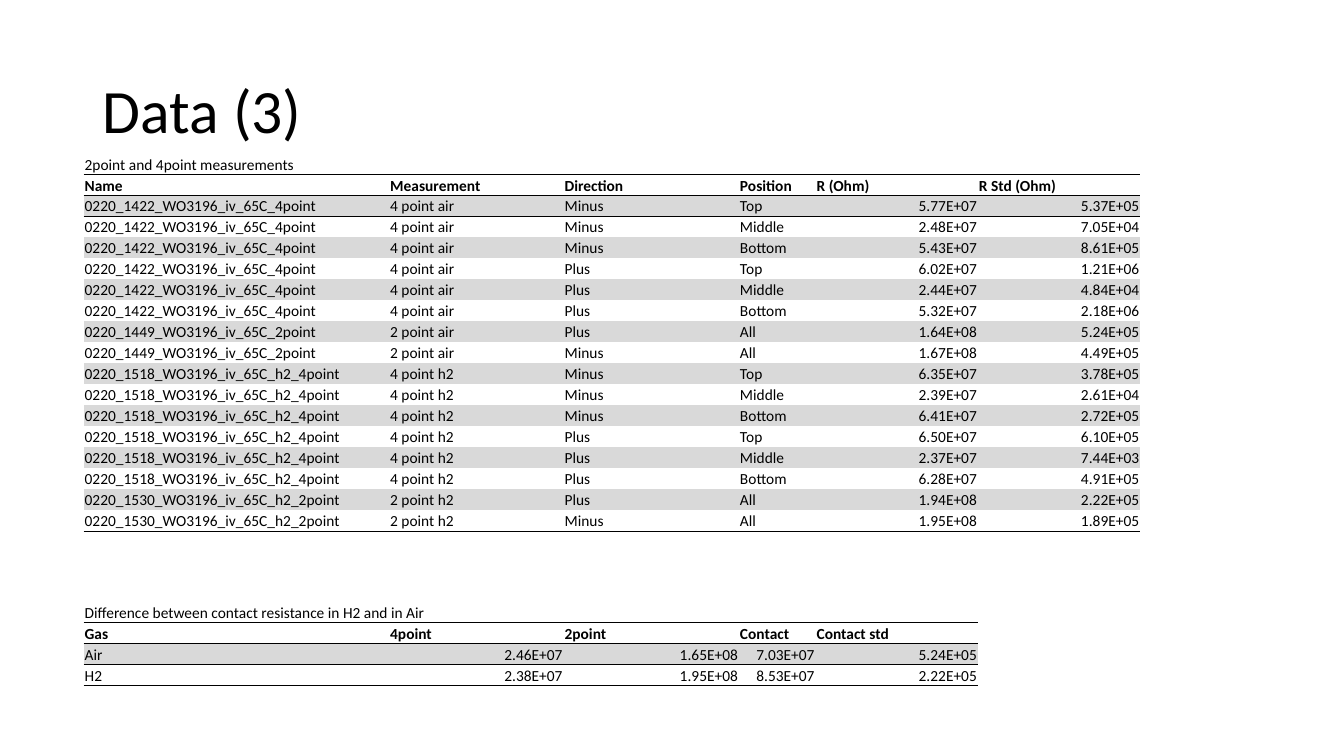
from dataclasses import dataclass

from lxml import etree
from pptx import Presentation
from pptx import util as u
from pptx.dml.color import RGBColor
from pptx.enum import text
from pptx.oxml import ns


@dataclass(frozen=True)
class Theme:
    font: str = "Calibri"
    ink: str = "000000"
    band: str = "D9D9D9"
    head: int = 44
    body: int = 11
    rule: float = 0.5
    plain: str = "{2D5ABB26-0587-4C30-8999-92F81FD0307C}"


THEME = Theme()
WIDTHS = [3.03, 1.73, 1.74, 0.76, 1.61, 1.61]

RUNS = [
    ("0220_1422_WO3196_iv_65C_4point", "4 point air", [
        ("Minus", "Top", "5.77E+07", "5.37E+05"),
        ("Minus", "Middle", "2.48E+07", "7.05E+04"),
        ("Minus", "Bottom", "5.43E+07", "8.61E+05"),
        ("Plus", "Top", "6.02E+07", "1.21E+06"),
        ("Plus", "Middle", "2.44E+07", "4.84E+04"),
        ("Plus", "Bottom", "5.32E+07", "2.18E+06"),
    ]),
    ("0220_1449_WO3196_iv_65C_2point", "2 point air", [
        ("Plus", "All", "1.64E+08", "5.24E+05"),
        ("Minus", "All", "1.67E+08", "4.49E+05"),
    ]),
    ("0220_1518_WO3196_iv_65C_h2_4point", "4 point h2", [
        ("Minus", "Top", "6.35E+07", "3.78E+05"),
        ("Minus", "Middle", "2.39E+07", "2.61E+04"),
        ("Minus", "Bottom", "6.41E+07", "2.72E+05"),
        ("Plus", "Top", "6.50E+07", "6.10E+05"),
        ("Plus", "Middle", "2.37E+07", "7.44E+03"),
        ("Plus", "Bottom", "6.28E+07", "4.91E+05"),
    ]),
    ("0220_1530_WO3196_iv_65C_h2_2point", "2 point h2", [
        ("Plus", "All", "1.94E+08", "2.22E+05"),
        ("Minus", "All", "1.95E+08", "1.89E+05"),
    ]),
]
POINTS = [
    ("Name", "Measurement", "Direction", "Position", "R (Ohm)", "R Std (Ohm)"),
    *((name, kind, *row) for name, kind, rows in RUNS for row in rows),
]
GASES = [
    ("Gas", "4point", "2point", "Contact", "Contact std"),
    ("Air", "2.46E+07", "1.65E+08", "7.03E+07", "5.24E+05"),
    ("H2", "2.38E+07", "1.95E+08", "8.53E+07", "2.22E+05"),
]


def style(para, size, bold=False):
    font = para.font
    font.name = THEME.font
    font.size = u.Pt(size)
    font.bold = bold
    font.color.rgb = RGBColor.from_string(THEME.ink)


def add_rule(cell, side, index):
    line = etree.Element(ns.qn(f"a:{side}"), w=str(u.Pt(THEME.rule)))
    fill = etree.SubElement(line, ns.qn("a:solidFill"))
    etree.SubElement(fill, ns.qn("a:srgbClr"), val=THEME.ink)
    cell._tc.get_or_add_tcPr().insert(index, line)


def set_cell(cell, label, row, last):
    cell.margin_left = cell.margin_right = cell.margin_top = u.Inches(0.01)
    cell.margin_bottom = 0
    cell.vertical_anchor = text.MSO_ANCHOR.BOTTOM
    cell.text = label
    para = cell.text_frame.paragraphs[0]
    style(para, THEME.body, row == 1)
    if "E+" in label:
        para.alignment = text.PP_ALIGN.RIGHT
    if not label:
        etree.SubElement(para._p, ns.qn("a:endParaRPr"), sz=str(THEME.body * 100))
    if row >= 2 and row % 2 == 0:
        cell.fill.solid()
        cell.fill.fore_color.rgb = RGBColor.from_string(THEME.band)
    else:
        cell.fill.background()
    sides = [("lnT", row in (1, 2)), ("lnB", row in (0, 1, last))]
    for index, side in enumerate([side for side, shown in sides if shown]):
        add_rule(cell, side, index)


def add_data(slide, box, caption, rows, span=1):
    count = len(rows[0])
    grid = [(caption, *[""] * (count - 1)), *rows]
    frame = slide.shapes.add_table(len(grid), count, *map(u.Inches, box))
    table = frame.table
    table.first_row = table.horz_banding = False
    table._tbl.tblPr.find(ns.qn("a:tableStyleId")).text = THEME.plain
    for column, width in zip(table.columns, WIDTHS):
        column.width = u.Inches(width)
    for r, labels in enumerate(grid):
        for c, label in enumerate(labels):
            set_cell(table.cell(r, c), label, r, len(grid) - 1)
    if span > 1:
        table.cell(0, 0).merge(table.cell(0, span - 1))


def add_title(slide, box, label):
    title = slide.shapes.title
    title.left, title.top, title.width, title.height = map(u.Inches, box)
    title.text_frame.text = label
    title.text_frame.vertical_anchor = text.MSO_ANCHOR.MIDDLE
    para = title.text_frame.paragraphs[0]
    para.alignment = text.PP_ALIGN.LEFT
    para.line_spacing = 0.9
    style(para, THEME.head)


def main():
    deck = Presentation()
    deck.slide_width, deck.slide_height = u.Inches(13.33), u.Inches(7.5)
    slide = deck.slides.add_slide(deck.slide_layouts[5])
    add_title(slide, (0.92, 0.4, 11.5, 1.45), "Data (3)")
    add_data(slide, (0.83, 1.52, sum(WIDTHS), 3.75),
             "2point and 4point measurements", POINTS)
    add_data(slide, (0.83, 5.97, sum(WIDTHS[:5]), 0.83),
             "Difference between contact resistance in H2 and in Air", GASES, span=2)
    deck.save("out.pptx")


if __name__ == "__main__":
    main()
